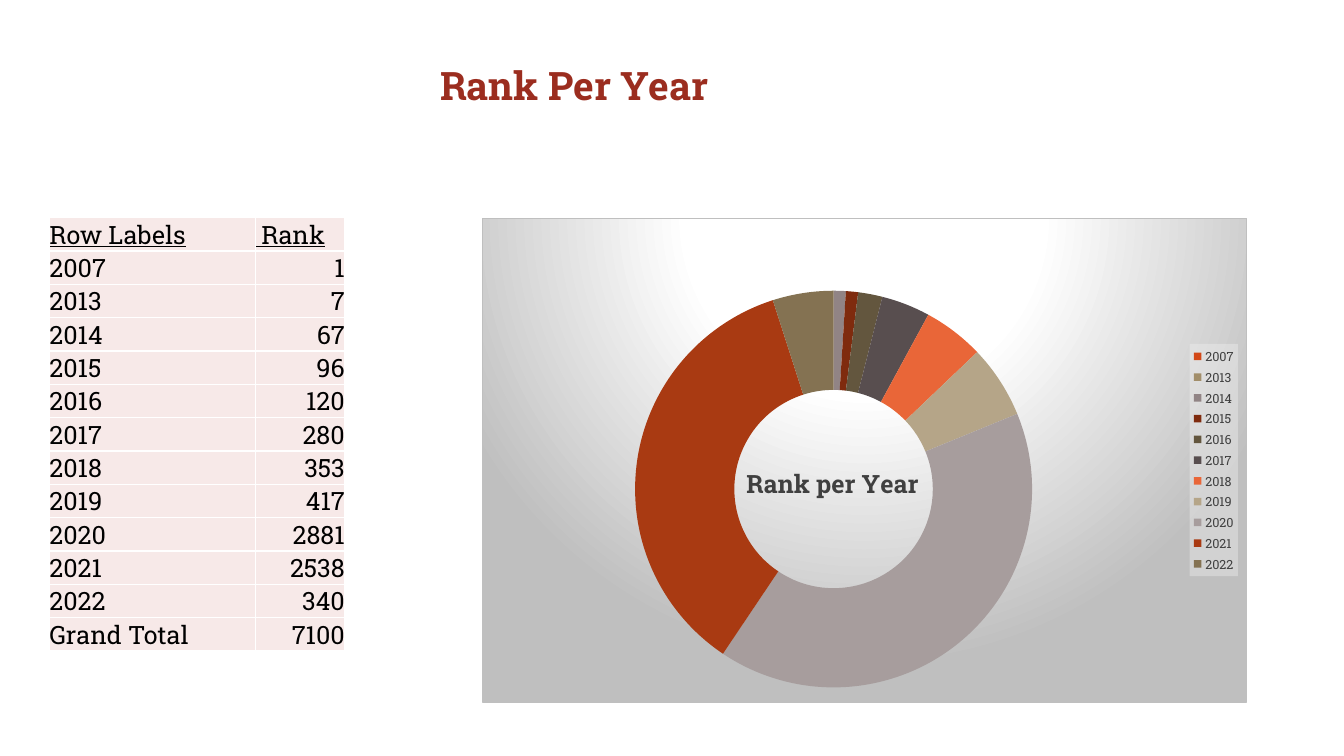
from dataclasses import dataclass

from pptx import Presentation
from pptx.chart.data import CategoryChartData
from pptx.dml.color import RGBColor
from pptx.enum.chart import XL_CHART_TYPE, XL_LEGEND_POSITION
from pptx.enum.text import MSO_ANCHOR, PP_ALIGN
from pptx.oxml import parse_xml
from pptx.oxml.ns import nsdecls, qn
from pptx.util import Pt

DOUGHNUT = XL_CHART_TYPE.DOUGHNUT
LEGEND_RIGHT = XL_LEGEND_POSITION.RIGHT
BOTTOM = MSO_ANCHOR.BOTTOM
LEFT, CENTER, RIGHT = PP_ALIGN.LEFT, PP_ALIGN.CENTER, PP_ALIGN.RIGHT


@dataclass(frozen=True)
class Theme:
    font: str = "Roboto Slab"
    heading: str = "9B2D1F"
    ink: str = "000000"
    chart_ink: str = "404040"
    white: str = "FFFFFF"
    cell: str = "F7E9E8"
    grey: str = "BFBFBF"
    legend: str = "F2F2F2"
    slices: tuple = ("D34817", "A28E6A", "918485", "7F2B0E", "63563E", "584E4F",
                     "E96638", "B5A588", "A79D9D", "A93A12", "847252")
    heading_size: int = 28
    body_size: int = 18
    chart_size: int = 10
    legend_size: int = 9


RANKS = {"2007": 1, "2013": 7, "2014": 67, "2015": 96, "2016": 120, "2017": 280,
         "2018": 353, "2019": 417, "2020": 2881, "2021": 2538, "2022": 340}
TOTAL = sum(RANKS.values())


def manual_layout(x, y, w=None, h=None, inner=False):
    """Chart layout element; lengths are fractions of the chart."""
    target = '<c:layoutTarget val="inner"/>' if inner else ""
    modes = '<c:xMode val="edge"/><c:yMode val="edge"/>'
    sizes = "".join(f'<c:{tag} val="{v}"/>' for tag, v in zip("xywh", (x, y, w, h))
                    if v is not None)
    return parse_xml(f'<c:layout {nsdecls("c")}><c:manualLayout>{target}{modes}{sizes}'
                     '</c:manualLayout></c:layout>')


def shape_props(content):
    return parse_xml(f'<c:spPr {nsdecls("c", "a")}>{content}</c:spPr>')


def solid(color, alpha=100):
    return (f'<a:solidFill><a:srgbClr val="{color}"><a:alpha val="{alpha * 1000}"/>'
            '</a:srgbClr></a:solidFill>')


class SlideBuilder:
    def __init__(self, slide, theme):
        self.s = slide
        self.theme = theme

    def style(self, font, size, color, bold=False, underline=False):
        font.name = self.theme.font
        font.size = Pt(size)
        font.color.rgb = RGBColor.from_string(color)
        font.bold = bold
        font.underline = underline

    def heading(self, text, x, y, w, h):
        sp = self.s.shapes.add_textbox(Pt(x), Pt(y), Pt(w), Pt(h))
        tf = sp.text_frame
        tf.word_wrap = True
        p = tf.paragraphs[0]
        p.text = text
        p.alignment = CENTER
        self.style(p.font, self.theme.heading_size, self.theme.heading, bold=True)

    def cell(self, cell, text, align, underline):
        cell.margin_left = cell.margin_right = cell.margin_top = cell.margin_bottom = 0
        cell.vertical_anchor = BOTTOM
        cell.fill.solid()
        cell.fill.fore_color.rgb = RGBColor.from_string(self.theme.cell)
        p = cell.text_frame.paragraphs[0]
        p.text = text
        p.alignment = align
        self.style(p.font, self.theme.body_size, self.theme.ink, underline=underline)
        # Borders come before the fill in the cell properties
        props = cell.fill._xPr
        for i, side in enumerate("LRTB"):
            props.insert(i, parse_xml(f'<a:ln{side} {nsdecls("a")} w="{Pt(1)}">'
                                      f'{solid(self.theme.white)}</a:ln{side}>'))

    def table(self, rows, x, y, widths, row_height):
        frame = self.s.shapes.add_table(len(rows), len(widths), Pt(x), Pt(y),
                                        Pt(sum(widths)), Pt(row_height * len(rows)))
        table = frame.table
        table.first_row = table.horz_banding = False
        for column, width in zip(table.columns, widths):
            column.width = Pt(width)
        for i, row in enumerate(rows):
            table.rows[i].height = Pt(row_height)
            for j, text in enumerate(row):
                align = RIGHT if i and j else LEFT
                self.cell(table.cell(i, j), text, align, underline=i == 0)

    def doughnut(self, title, values, x, y, w, h):
        theme = self.theme
        data = CategoryChartData()
        data.categories = list(values)
        data.add_series("Series 1", list(values.values()))
        chart = self.s.shapes.add_chart(DOUGHNUT, Pt(x), Pt(y), Pt(w), Pt(h), data).chart
        self.style(chart.font, theme.chart_size, theme.ink)

        # Slices
        for i, color in enumerate(theme.slices):
            fmt = chart.plots[0].series[0].points[i].format
            fmt.fill.solid()
            fmt.fill.fore_color.rgb = RGBColor.from_string(color)
            fmt.line.fill.background()

        # Title in the hole
        chart.has_title = True
        p = chart.chart_title.text_frame.paragraphs[0]
        p.text = title
        self.style(p.font, theme.body_size, theme.chart_ink, bold=True)
        chart_xml = chart.element.find(qn("c:chart"))
        title_xml = chart_xml.find(qn("c:title"))
        plot_xml = chart_xml.find(qn("c:plotArea"))
        for parent in (title_xml, plot_xml):
            for layout in parent.findall(qn("c:layout")):
                parent.remove(layout)
        title_xml.find(qn("c:tx")).addnext(manual_layout(0.34, 0.5))
        title_xml.find(qn("c:overlay")).set("val", "1")
        plot_xml.insert(0, manual_layout(0.2, 0.15, 0.52, 0.82, inner=True))

        # Legend
        chart.has_legend = True
        chart.legend.position = LEGEND_RIGHT
        chart.legend.include_in_layout = False
        self.style(chart.legend.font, theme.legend_size, theme.chart_ink)
        legend_xml = chart_xml.find(qn("c:legend"))
        legend_xml.find(qn("c:txPr")).addprevious(shape_props(solid(theme.legend, 39)))

        # Radial background and border
        stops = "".join(f'<a:gs pos="{pos * 1000}"><a:srgbClr val="{color}"/></a:gs>'
                        for pos, color in ((0, theme.white), (39, theme.white),
                                           (100, theme.grey)))
        chart_xml.addnext(shape_props(
            f'<a:gradFill><a:gsLst>{stops}</a:gsLst><a:path path="circle">'
            '<a:fillToRect l="50000" t="-80000" r="50000" b="180000"/></a:path></a:gradFill>'
            f'<a:ln w="{Pt(0.75)}">{solid(theme.grey)}</a:ln>'))


def main():
    prs = Presentation()
    prs.slide_width, prs.slide_height = Pt(960), Pt(540)
    builder = SlideBuilder(prs.slides.add_slide(prs.slide_layouts[6]), Theme())

    # Chart of each year's share in percent
    shares = {year: round(100 * rank / TOTAL) for year, rank in RANKS.items()}
    builder.doughnut("Rank per Year", shares, 344, 155.5, 546.5, 346.3)

    # Table of ranks
    rows = [("Row Labels", " Rank")]
    rows += [(year, str(rank)) for year, rank in RANKS.items()]
    rows.append(("Grand Total", str(TOTAL)))
    builder.table(rows, 35.3, 155.5, (147, 64), 23.65)

    # Heading
    builder.heading("Rank Per Year", 176.4, 40.3, 467.3, 41)

    prs.save("out.pptx")


if __name__ == "__main__":
    main()
